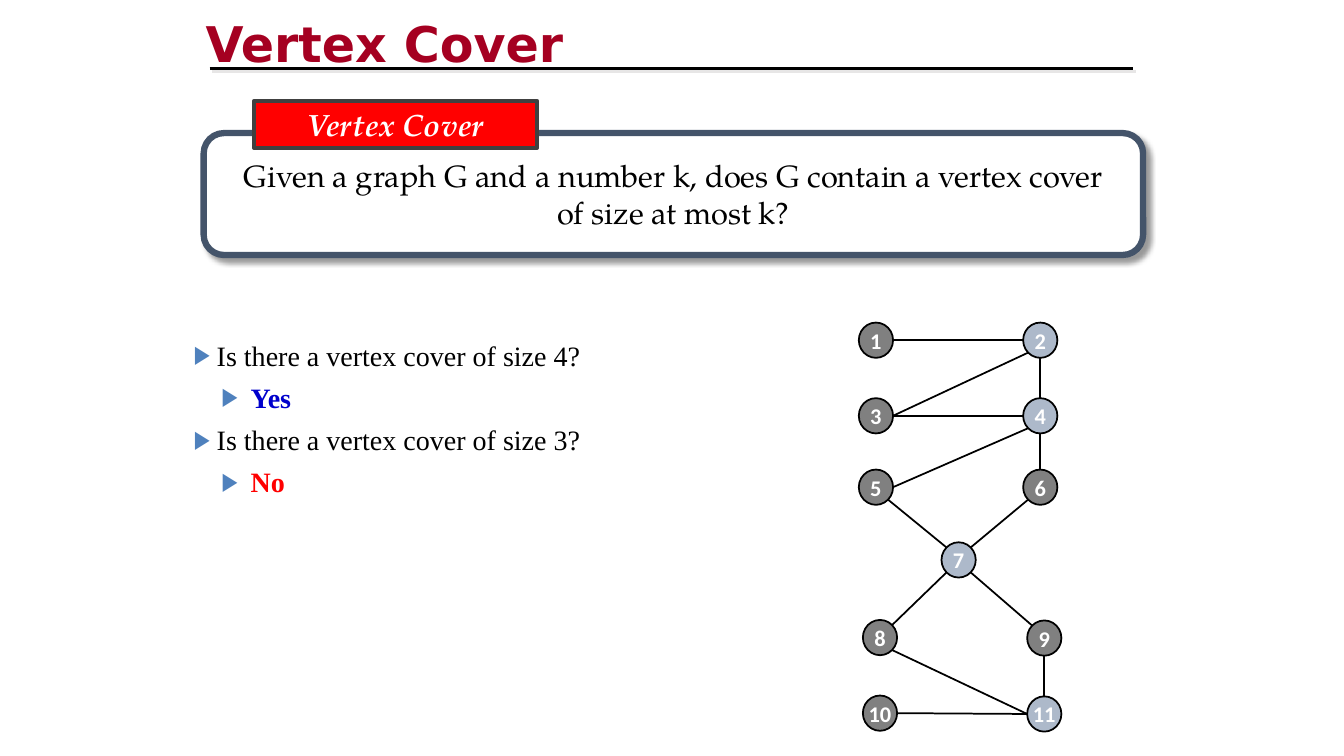
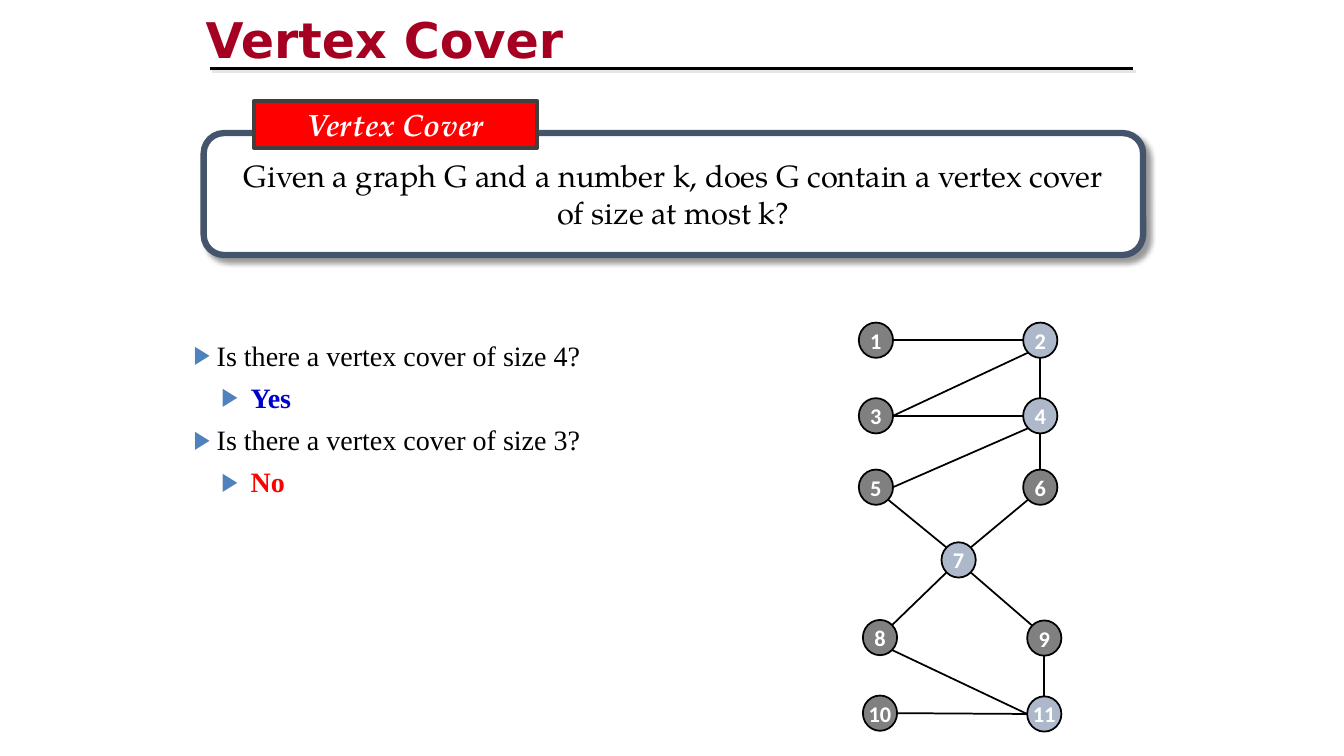
import dataclasses
import math

import lxml.etree
import pptx
import pptx.dml.color
import pptx.enum.shapes
import pptx.enum.text
import pptx.oxml.ns
import pptx.util

SHAPE = pptx.enum.shapes.MSO_SHAPE
ALIGN = pptx.enum.text.PP_ALIGN
ANCHOR = pptx.enum.text.MSO_ANCHOR
AUTO_SIZE = pptx.enum.text.MSO_AUTO_SIZE


@dataclasses.dataclass(frozen=True)
class Theme:
    width: float = 13.33
    height: float = 7.5
    columns: int = 80
    rows: int = 45

    black: str = "000000"
    white: str = "FFFFFF"
    title: str = "A50021"
    soft_shadow: str = "E7E6E6"
    frame: str = "44546A"
    tag: str = "FF0000"
    tag_edge: str = "404040"
    node: str = "808080"
    cover_node: str = "ADB9CA"
    bullet: str = "4F81BD"
    yes: str = "0000CC"
    no: str = "FF0000"

    title_font: str = "DejaVu Sans"
    statement_font: str = "TeX Gyre Pagella"
    body_font: str = "Times New Roman"
    node_font: str = "Calibri"
    title_size: float = 35.1
    statement_size: float = 22
    body_size: float = 20
    node_size: float = 16


THEME = Theme()

# Grid columns and rows of the node centres.
UPPER_LEFT, UPPER_RIGHT = 52.14, 61.92
LOWER_LEFT, LOWER_RIGHT = 52.38, 62.16
NODES = {
    1: (UPPER_LEFT, 20.25), 2: (UPPER_RIGHT, 20.25),
    3: (UPPER_LEFT, 24.75), 4: (UPPER_RIGHT, 24.75),
    5: (UPPER_LEFT, 29), 6: (UPPER_RIGHT, 29),
    7: (57.06, 33.33),
    8: (LOWER_LEFT, 37.95), 9: (LOWER_RIGHT, 37.98),
    10: (LOWER_LEFT, 42.45), 11: (LOWER_RIGHT, 42.5),
}
COVER = {2, 4, 7, 11}
NODE_WIDTH, NODE_HEIGHT = 2.04, 2.1

# Each edge leaves and enters a node's rim at a compass direction.
EDGES = [
    (1, "E", 2, "W"), (3, "E", 2, "SW"), (3, "E", 4, "W"),
    (5, "E", 4, "SW"), (2, "S", 4, "N"), (4, "S", 6, "N"),
    (5, "SE", 7, "NW"), (6, "SW", 7, "NE"), (7, "SW", 8, "NE"),
    (7, "SE", 9, "NW"), (8, "SE", 11, "W"), (9, "S", 11, "N"),
    (10, "E", 11, "W"),
]
COMPASS = ["E", "SE", "S", "SW", "W", "NW", "N", "NE"]

STATEMENT = ["Given a graph G and a number k, does G contain a vertex cover",
             "of size at most k?"]
QUESTIONS = [
    ("Is there a vertex cover of size 4?", "Yes", THEME.yes),
    ("Is there a vertex cover of size 3?", "No", THEME.no),
]


def rgb(colour):
    return pptx.dml.color.RGBColor.from_string(colour)


def add_element(parent, tag, **attributes):
    values = {name: str(value) for name, value in attributes.items()}
    return lxml.etree.SubElement(parent, pptx.oxml.ns.qn(tag), values)


def fill_shadow(effects, colour, opacity, blur, distance):
    """Put a shadow to the lower right into an effect list; lengths in points."""
    shadow = add_element(effects, "a:outerShdw",
                         blurRad=int(pptx.util.Pt(blur)),
                         dist=int(pptx.util.Pt(distance)),
                         dir=45 * 60000, algn="tl", rotWithShape=0)
    tone = add_element(shadow, "a:srgbClr", val=colour)
    add_element(tone, "a:alpha", val=opacity * 1000)


def rim_point(number, direction):
    column, row = NODES[number]
    angle = COMPASS.index(direction) * math.pi / 4
    return (column + NODE_WIDTH / 2 * math.cos(angle),
            row + NODE_HEIGHT / 2 * math.sin(angle))


class SlideWriter:
    """Holds the theme and current slide; lengths are grid columns and rows."""

    def __init__(self, deck, theme):
        self.deck = deck
        self.theme = theme
        self.slide = None
        deck.slide_width = pptx.util.Inches(theme.width)
        deck.slide_height = pptx.util.Inches(theme.height)

    def across(self, columns):
        return round(self.deck.slide_width * columns / self.theme.columns)

    def down(self, rows):
        return round(self.deck.slide_height * rows / self.theme.rows)

    def area(self, left, top, width, height):
        return (self.across(left), self.down(top),
                self.across(width), self.down(height))

    def new_slide(self):
        self.slide = self.deck.slides.add_slide(self.deck.slide_layouts[1])

    def style_runs(self, para, font, size, colour, bold=False, italic=False):
        for run in para.runs:
            run.font.name = font
            run.font.size = pptx.util.Pt(size)
            run.font.color.rgb = rgb(colour)
            run.font.bold = bold
            run.font.italic = italic

    def place(self, placeholder, area):
        (placeholder.left, placeholder.top,
         placeholder.width, placeholder.height) = self.area(*area)
        frame = placeholder.text_frame
        frame.word_wrap = True
        frame.auto_size = AUTO_SIZE.NONE
        return frame

    def title(self, text, top):
        theme = self.theme
        frame = self.place(self.slide.shapes.title, (11.64, top, 51, 4.02))
        frame.vertical_anchor = ANCHOR.BOTTOM
        frame.margin_bottom = 0
        frame.text = text
        para = frame.paragraphs[0]
        para.alignment = ALIGN.LEFT
        self.style_runs(para, theme.title_font, theme.title_size,
                        theme.title, bold=True)
        properties = para.runs[0].font.fill._xPr
        effects = add_element(properties, "a:effectLst")
        properties.find(pptx.oxml.ns.qn("a:solidFill")).addnext(effects)
        fill_shadow(effects, theme.soft_shadow, 100, 0, 2.8)

    def line(self, start, end, width):
        """Draw a black line and return its empty effect list."""
        connector = self.slide.shapes.add_connector(
            pptx.enum.shapes.MSO_CONNECTOR.STRAIGHT,
            self.across(start[0]), self.down(start[1]),
            self.across(end[0]), self.down(end[1]))
        connector.line.color.rgb = rgb(self.theme.black)
        connector.line.width = pptx.util.Pt(width)
        return add_element(connector._element.spPr, "a:effectLst")

    def title_rule(self):
        effects = self.line((12.48, 4.08), (67.44, 4.08), 2.25)
        fill_shadow(effects, self.theme.soft_shadow, 100, 0, 2.8)

    def shape(self, kind, area, fill, edge, edge_width, lines, **style):
        box = self.slide.shapes.add_shape(kind, *self.area(*area))
        box.shadow.inherit = False
        box.fill.solid()
        box.fill.fore_color.rgb = rgb(fill)
        box.line.color.rgb = rgb(edge)
        box.line.width = pptx.util.Pt(edge_width)
        frame = box.text_frame
        frame.word_wrap = False
        frame.vertical_anchor = ANCHOR.MIDDLE
        frame.text = "\n".join(lines)
        for para in frame.paragraphs:
            para.alignment = ALIGN.CENTER
            self.style_runs(para, **style)
        return box

    def definition(self, name, lines):
        theme = self.theme
        text = {"font": theme.statement_font, "size": theme.statement_size}
        panel = self.shape(SHAPE.ROUNDED_RECTANGLE, (12.12, 7.92, 55.92, 7.26),
                           theme.white, theme.frame, 4.5, lines,
                           colour=theme.black, **text)
        effects = panel._element.spPr.find(pptx.oxml.ns.qn("a:effectLst"))
        fill_shadow(effects, theme.black, 40, 4, 4)
        tag = self.shape(SHAPE.RECTANGLE, (15.12, 6, 16.86, 2.82),
                         theme.tag, theme.tag_edge, 2.5, [name],
                         colour=theme.white, bold=True, italic=True, **text)
        tag.text_frame.word_wrap = True
        tag.text_frame.vertical_anchor = ANCHOR.TOP

    def bullet(self, para, left, hanging):
        properties = para._p.get_or_add_pPr()
        properties.set("marL", str(self.across(left)))
        properties.set("indent", str(-self.across(hanging)))
        colour = add_element(properties, "a:buClr")
        add_element(colour, "a:srgbClr", val=self.theme.bullet)
        add_element(properties, "a:buSzPct", val=90000)
        add_element(properties, "a:buFont", typeface=self.theme.body_font)
        add_element(properties, "a:buChar", char="▶")

    def questions(self, items):
        theme = self.theme
        frame = self.place(self.slide.placeholders[1],
                           (10.92, 19.86, 34.5, 10.2))
        frame.vertical_anchor = ANCHOR.TOP
        frame.text = "\n".join(line for item in items for line in item[:2])
        paragraphs = frame.paragraphs
        for index, para in enumerate(paragraphs):
            is_answer = index % 2 == 1
            para.level = int(is_answer)
            if is_answer:
                self.bullet(para, 3.4, 1.74)
            else:
                self.bullet(para, 1.38, 1.38)
            para.space_before = pptx.util.Pt(6 if index else 0)
            colour = items[index // 2][2] if is_answer else theme.black
            self.style_runs(para, theme.body_font, theme.body_size, colour,
                            bold=is_answer)

    def graph(self):
        theme = self.theme
        for number, (column, row) in NODES.items():
            area = (column - NODE_WIDTH / 2, row - NODE_HEIGHT / 2,
                    NODE_WIDTH, NODE_HEIGHT)
            fill = theme.cover_node if number in COVER else theme.node
            self.shape(SHAPE.OVAL, area, fill, theme.black, 1.25,
                       [str(number)], font=theme.node_font,
                       size=theme.node_size, colour=theme.white, bold=True)
        for start, leaving, end, entering in EDGES:
            self.line(rim_point(start, leaving), rim_point(end, entering), 1.25)


def main():
    deck = pptx.Presentation()
    writer = SlideWriter(deck, THEME)
    for title_top in (0.3, 0.06):
        writer.new_slide()
        writer.title("Vertex Cover", title_top)
        writer.title_rule()
        writer.definition("Vertex Cover", STATEMENT)
        writer.questions(QUESTIONS)
        writer.graph()
    deck.save("out.pptx")


if __name__ == "__main__":
    main()
